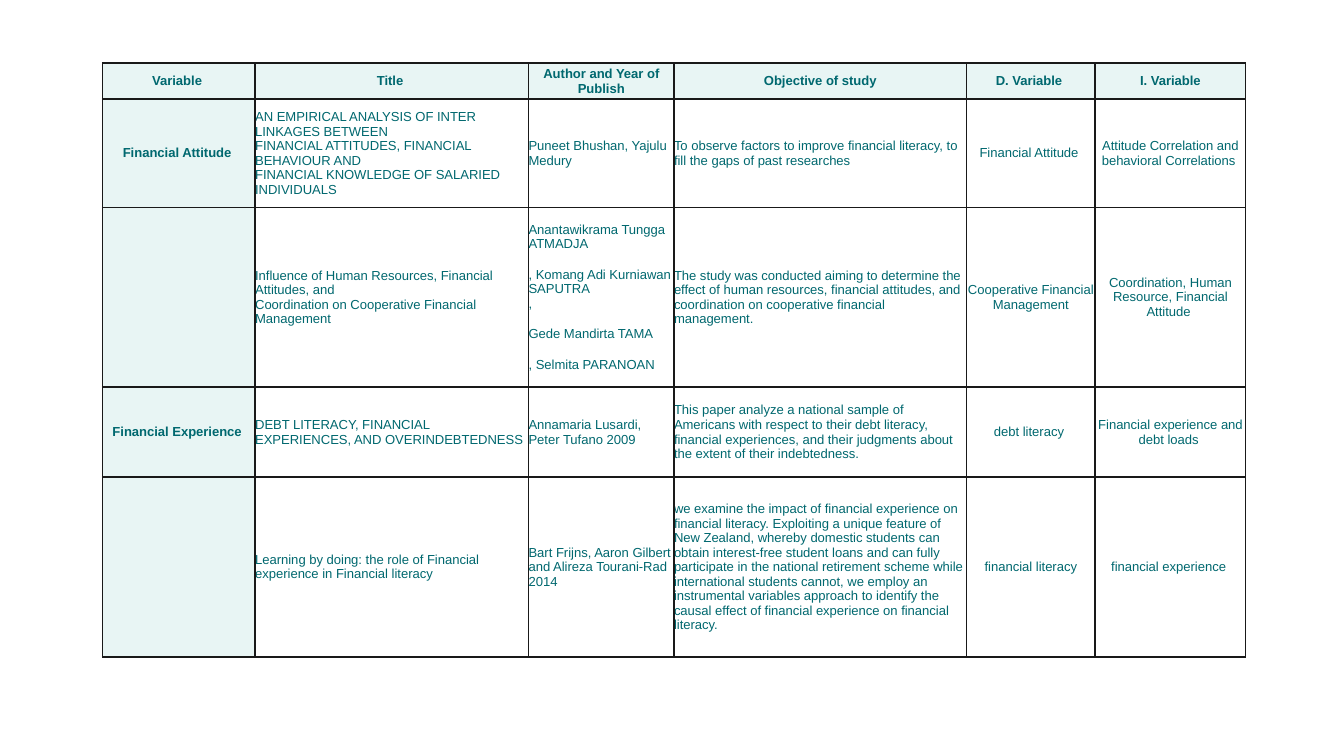
from pptx import Presentation
from pptx.dml.color import RGBColor
from pptx.enum.text import MSO_ANCHOR, PP_ALIGN
from pptx.oxml import parse_xml
from pptx.oxml.ns import nsdecls, qn
from pptx.util import Pt
from lxml.etree import SubElement

TEAL = RGBColor(0x00, 0x68, 0x6F)
MINT = RGBColor(0xE8, 0xF5, 0xF4)
WHITE = RGBColor(0xFF, 0xFF, 0xFF)
BORDER = RGBColor(0x19, 0x19, 0x19)

FONT_SIZE = 7
LEFT, TOP = 55, 33.8
COL_WIDTHS = [81.7, 146.5, 77.9, 156.7, 68.9, 80.7]
ROW_HEIGHTS = [19.4, 57.9, 96.4, 48.2, 96.4]
LEFT_ALIGNED = (1, 2, 3)

ROWS = [
    ["Variable ", "Title ", "Author and Year of Publish",
     "Objective of study", "D. Variable ", "I. Variable"],
    ["Financial Attitude ",
     "AN EMPIRICAL ANALYSIS OF INTER LINKAGES BETWEEN\n"
     "FINANCIAL ATTITUDES, FINANCIAL BEHAVIOUR AND\n"
     "FINANCIAL KNOWLEDGE OF SALARIED INDIVIDUALS",
     "Puneet Bhushan, Yajulu Medury",
     "To observe factors to improve financial literacy, "
     "to fill the gaps of past researches",
     "Financial Attitude ",
     "Attitude Correlation and behavioral Correlations "],
    ["",
     "Influence of Human Resources, Financial Attitudes, and\n"
     "Coordination on Cooperative Financial Management",
     "Anantawikrama Tungga ATMADJA\n\n, Komang Adi Kurniawan SAPUTRA\n,\n\n"
     "Gede Mandirta TAMA\n\n, Selmita PARANOAN",
     "The study was conducted aiming to determine the effect of human resources, "
     "financial attitudes, and coordination on cooperative financial management.",
     "Cooperative Financial Management",
     "Coordination, Human Resource, Financial Attitude "],
    ["Financial Experience ",
     "DEBT LITERACY, FINANCIAL EXPERIENCES, AND OVERINDEBTEDNESS",
     "Annamaria Lusardi, Peter Tufano 2009",
     "This paper analyze a national sample of Americans with respect to their debt "
     "literacy, financial experiences, and their judgments about the extent of "
     "their indebtedness.",
     "debt literacy ",
     "Financial experience and debt loads "],
    ["",
     "Learning by doing: the role of Financial\nexperience in Financial literacy",
     "Bart Frijns, Aaron Gilbert and Alireza Tourani-Rad 2014",
     "we examine the impact of financial experience on\n"
     "financial literacy. Exploiting a unique feature of New Zealand, whereby "
     "domestic students can obtain interest-free student loans and can fully "
     "participate in the national retirement scheme while international students "
     "cannot, we employ an instrumental variables approach to identify the causal "
     "effect of financial experience on financial literacy.",
     "financial literacy",
     "financial experience "],
]


def set_borders(cell):
    """Draw a 1 pt line on all four sides; lines must precede the fill."""
    tcPr = cell._tc.get_or_add_tcPr()
    for i, side in enumerate(("lnL", "lnR", "lnT", "lnB")):
        tcPr.insert(i, parse_xml(
            f'<a:{side} {nsdecls("a")} w="{Pt(1)}"><a:solidFill>'
            f'<a:srgbClr val="{BORDER}"/></a:solidFill></a:{side}>'))


def write_text(cell, text, bold, align):
    p = cell.text_frame.paragraphs[0]
    p.text = text
    p.alignment = align
    for r in p.runs:
        for name, value in {"name": "Arial", "size": Pt(FONT_SIZE), "bold": bold}.items():
            setattr(r.font, name, value)
        r.font.color.rgb = TEAL
    # Line breaks need the size too, or empty lines come out too tall
    for br in p._p.findall(qn("a:br")):
        SubElement(br, qn("a:rPr"), sz=str(FONT_SIZE * 100))


prs = Presentation()
prs.slide_width, prs.slide_height = Pt(720), Pt(405)
s = prs.slides.add_slide(prs.slide_layouts[6])

table = s.shapes.add_table(
    len(ROWS), len(COL_WIDTHS), Pt(LEFT), Pt(TOP),
    Pt(sum(COL_WIDTHS)), Pt(sum(ROW_HEIGHTS))).table
for col, width in zip(table.columns, COL_WIDTHS):
    col.width = Pt(width)
for row, height in zip(table.rows, ROW_HEIGHTS):
    row.height = Pt(height)

cell_format = {"margin_left": 0, "margin_right": 0, "margin_top": 0,
               "margin_bottom": 0, "vertical_anchor": MSO_ANCHOR.MIDDLE}
for i, texts in enumerate(ROWS):
    for j, text in enumerate(texts):
        cell = table.cell(i, j)
        for name, value in cell_format.items():
            setattr(cell, name, value)
        heading = i == 0 or j == 0
        cell.fill.solid()
        cell.fill.fore_color.rgb = MINT if heading else WHITE
        set_borders(cell)
        body_left = i > 0 and j in LEFT_ALIGNED
        write_text(cell, text, heading, PP_ALIGN.LEFT if body_left else PP_ALIGN.CENTER)

prs.save("out.pptx")
